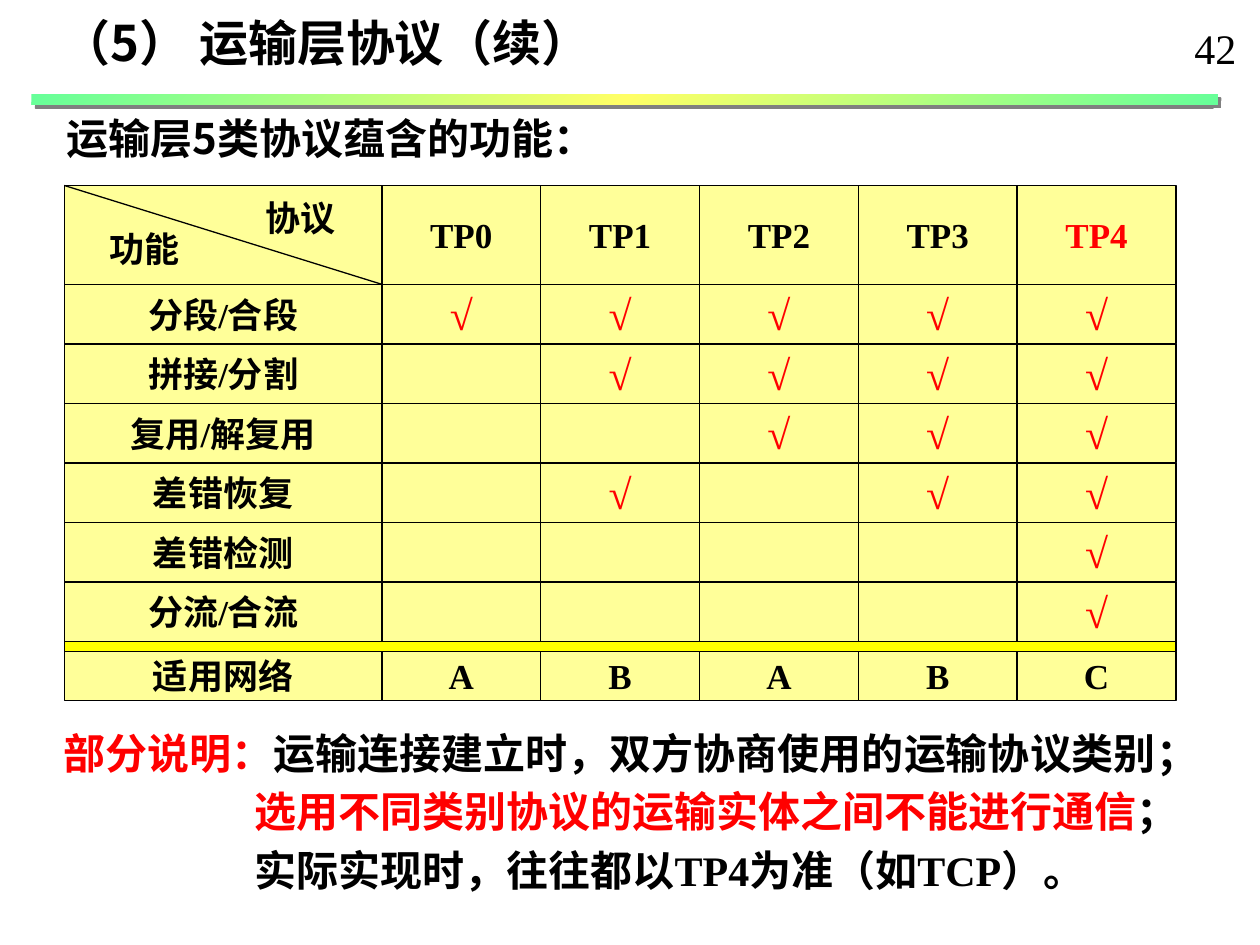
"""Build the slide on the functions of the five transport layer protocol classes."""
from pptx import Presentation
from pptx.dml.color import RGBColor
from pptx.enum.shapes import MSO_CONNECTOR as CONNECTOR, MSO_SHAPE as SHAPE
from pptx.enum.text import MSO_ANCHOR as ANCHOR, PP_ALIGN as ALIGN
from pptx.oxml import parse_xml
from pptx.oxml.ns import qn
from pptx.util import Pt
from lxml.etree import SubElement

COLORS = {"ink": "000000", "accent": "FF0000", "cell": "FFFF99", "band": "FFFF00",
          "bar_edge": "66FF99", "bar_middle": "FFFF66", "shadow": "808080"}
SERIF, SANS = "Times New Roman", "Noto Sans CJK SC"
DRAWING = 'xmlns:a="http://schemas.openxmlformats.org/drawingml/2006/main"'
TICK = "√"
PROTOCOLS = ["TP0", "TP1", "TP2", "TP3", "TP4"]
SUPPORT = {
    "分段/合段": [0, 1, 2, 3, 4],
    "拼接/分割": [1, 2, 3, 4],
    "复用/解复用": [2, 3, 4],
    "差错恢复": [1, 3, 4],
    "差错检测": [4],
    "分流/合流": [4],
}
NETWORKS = ["A", "B", "A", "B", "C"]
NOTES = [
    [("部分说明：", "accent"), ("运输连接建立时，双方协商使用的运输协议类别；", "ink")],
    [("选用不同类别协议的运输实体之间不能进行通信", "accent"), ("；", "ink")],
    [("实际实现时，往往都以TP4为准（如TCP）。", "ink")],
]
TABLE_LEFT, TABLE_TOP = 36.75, 106
LABEL_WIDTH, PROTOCOL_WIDTH = 181.5, 90.75
HEADER_HEIGHT, FUNCTION_HEIGHT, BAND_HEIGHT, NETWORK_HEIGHT = 56.5, 34, 5.75, 28


def rgb(name):
    """Return the named colour."""
    return RGBColor.from_string(COLORS[name])


def style_run(run, size, color="ink", face=SERIF, bold=True):
    """Format a run with its Latin and East Asian fonts."""
    run.font.size, run.font.bold, run.font.name = Pt(size), bold, face
    run.font.color.rgb = rgb(color)
    SubElement(run.font._element, qn("a:ea")).set("typeface", SANS)


def add_text(slide, box, paragraphs, size, face=SERIF, bold=True, wrap=True, hanging=0):
    """Add a text box whose paragraphs are lists of (words, colour)."""
    frame = slide.shapes.add_textbox(*map(Pt, box)).text_frame
    frame.word_wrap = wrap
    for index, parts in enumerate(paragraphs):
        paragraph = frame.add_paragraph() if index else frame.paragraphs[0]
        if index:
            paragraph.space_before = Pt(0.2 * size)
            paragraph._p.get_or_add_pPr().set("marL", str(Pt(hanging)))
        for words, color in parts:
            run = paragraph.add_run()
            run.text = words
            style_run(run, size, color, face, bold)


def add_bar(slide):
    """Add the gradient bar under the title."""
    bar = slide.shapes.add_shape(SHAPE.RECTANGLE, Pt(18), Pt(54), Pt(678), Pt(6))
    bar.line.fill.background()
    bar.fill.gradient()
    bar.fill.gradient_angle = -45
    stops = bar._element.spPr.find(qn("a:gradFill")).find(qn("a:gsLst"))
    for stop in list(stops):
        stops.remove(stop)
    for position, color in enumerate(["bar_edge", "bar_middle", "bar_edge"]):
        stops.append(parse_xml(f'<a:gs {DRAWING} pos="{position * 50000}">'
                               f'<a:srgbClr val="{COLORS[color]}"/></a:gs>'))
    bar._element.spPr.append(parse_xml(
        f'<a:effectLst {DRAWING}><a:outerShdw dist="{Pt(2.8)}" dir="2700000" algn="ctr" '
        f'rotWithShape="0"><a:srgbClr val="{COLORS["shadow"]}"/></a:outerShdw></a:effectLst>'))


def add_cell(slide, box, words="", color="ink", size=20, fill="cell"):
    """Add one framed grid cell with optional centred words."""
    cell = slide.shapes.add_shape(SHAPE.RECTANGLE, *map(Pt, box))
    cell.shadow.inherit = False
    cell.fill.solid()
    cell.fill.fore_color.rgb = rgb(fill)
    cell.line.color.rgb = rgb("ink")
    cell.line.width = Pt(0.75)
    if words:
        frame = cell.text_frame
        frame.word_wrap = False
        frame.vertical_anchor = ANCHOR.MIDDLE
        frame.text = words
        frame.paragraphs[0].alignment = ALIGN.CENTER
        style_run(frame.paragraphs[0].runs[0], size, color)


def add_row(slide, top, height, label, entries):
    """Add a label cell and one cell for each (words, colour, size) entry."""
    add_cell(slide, (TABLE_LEFT, top, LABEL_WIDTH, height), label)
    for column, entry in enumerate(entries):
        left = TABLE_LEFT + LABEL_WIDTH + column * PROTOCOL_WIDTH
        add_cell(slide, (left, top, PROTOCOL_WIDTH, height), *entry)


def add_function_grid(slide):
    """Add the grid of functions against protocol classes."""
    add_row(slide, TABLE_TOP, HEADER_HEIGHT, "",
            [(name, "accent" if name == "TP4" else "ink", 20) for name in PROTOCOLS])
    top = TABLE_TOP + HEADER_HEIGHT
    for function, classes in SUPPORT.items():
        add_row(slide, top, FUNCTION_HEIGHT, function,
                [(TICK if number in classes else "", "accent", 24)
                 for number in range(len(PROTOCOLS))])
        top += FUNCTION_HEIGHT
    table_width = LABEL_WIDTH + len(PROTOCOLS) * PROTOCOL_WIDTH
    add_cell(slide, (TABLE_LEFT, top, table_width, BAND_HEIGHT), fill="band")
    add_row(slide, top + BAND_HEIGHT, NETWORK_HEIGHT, "适用网络",
            [(network, "ink", 20) for network in NETWORKS])


def add_header_split(slide):
    """Split the top left cell by a diagonal and label both halves."""
    diagonal = slide.shapes.add_connector(
        CONNECTOR.STRAIGHT, Pt(TABLE_LEFT), Pt(TABLE_TOP),
        Pt(TABLE_LEFT + LABEL_WIDTH), Pt(TABLE_TOP + HEADER_HEIGHT))
    diagonal.line.color.rgb = rgb("ink")
    diagonal.line.width = Pt(0.75)
    SubElement(diagonal._element.spPr, qn("a:effectLst"))
    for words, left, top in [("功能", 55.5, 126.5), ("协议", 144.75, 108.75)]:
        add_text(slide, (left, top, 54.5, 31), [[(words, "ink")]], 20, wrap=False)


def main():
    """Build and save the slide."""
    deck = Presentation()
    deck.slide_width, deck.slide_height = Pt(720), Pt(540)
    slide = deck.slides.add_slide(deck.slide_layouts[6])
    add_bar(slide)
    add_text(slide, (31, 60.5, 436, 36), [[("运输层5类协议蕴含的功能：", "ink")]], 24, SANS)
    add_text(slide, (28, 3.5, 406, 51), [[("（5） 运输层协议（续）", "ink")]], 28, SANS)
    add_text(slide, (29.5, 412, 670, 106), NOTES, 24, hanging=109)
    add_function_grid(slide)
    add_header_split(slide)
    add_text(slide, (675.5, 9.5, 39, 36), [[("42", "ink")]], 24, bold=False, wrap=False)
    deck.save("out.pptx")


if __name__ == "__main__":
    main()
